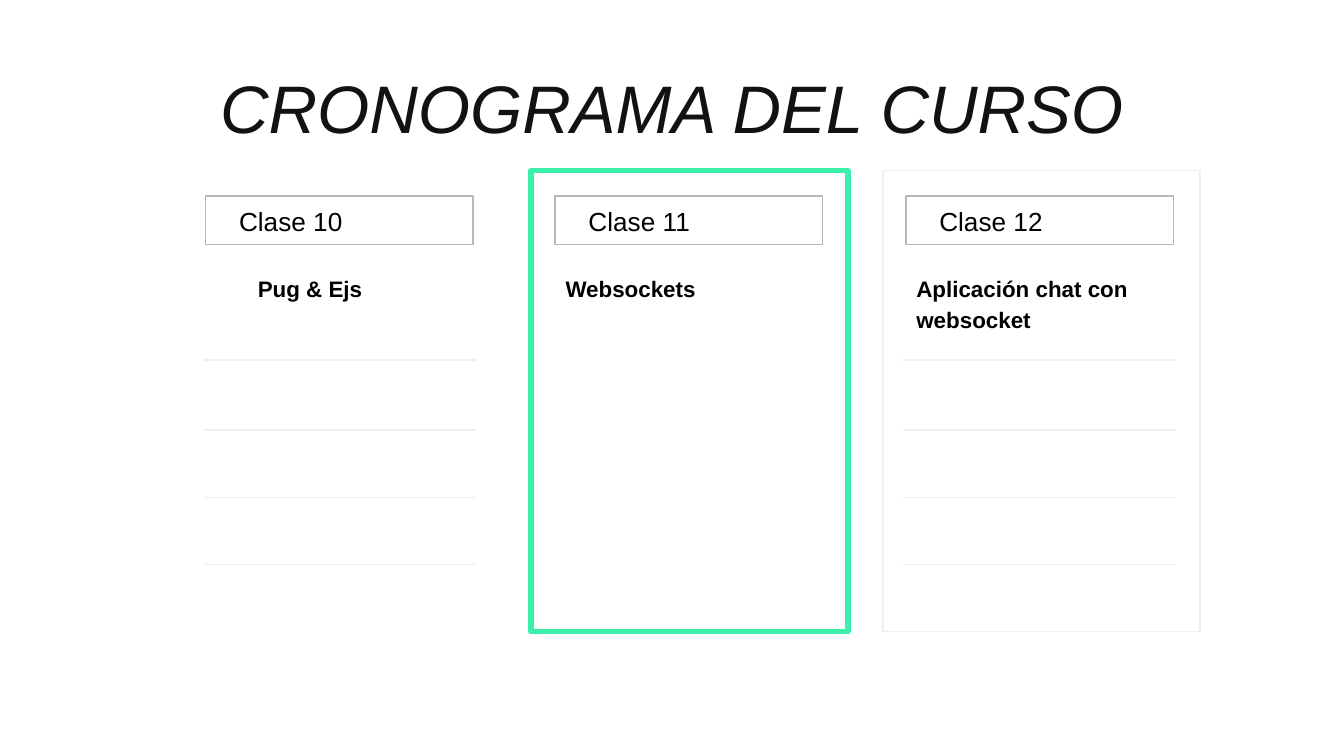
from lxml import etree
from pptx import Presentation
from pptx.dml.color import RGBColor
from pptx.enum.shapes import MSO_CONNECTOR, MSO_SHAPE
from pptx.enum.text import MSO_ANCHOR, MSO_AUTO_SIZE, PP_ALIGN
from pptx.oxml.ns import qn
from pptx.util import Inches, Pt

RECT = MSO_SHAPE.RECTANGLE
STRAIGHT = MSO_CONNECTOR.STRAIGHT
MIDDLE = MSO_ANCHOR.MIDDLE
NO_AUTOFIT = MSO_AUTO_SIZE.NONE
CENTER = PP_ALIGN.CENTER

GREEN = RGBColor(0x3C, 0xEF, 0xAB)
GREY = RGBColor(0xB7, 0xB7, 0xB7)
PALE = RGBColor(0xEF, 0xEF, 0xEF)
INK = RGBColor(0x12, 0x12, 0x12)
BLACK = RGBColor(0, 0, 0)

prs = Presentation()
prs.slide_width = Inches(10)
prs.slide_height = Inches(10) * 9 // 16
s = prs.slides.add_slide(prs.slide_layouts[5])


def add_frame(x, y, w, h, color, width):
    """Draw an unfilled rectangle."""
    sp = s.shapes.add_shape(RECT, Inches(x), Inches(y), Inches(w), Inches(h))
    sp.shadow.inherit = False
    sp.fill.background()
    sp.line.color.rgb = color
    sp.line.width = Pt(width)


def write(sp, text, size, color, bold=False, italic=False):
    """Put one run of text in a shape and return its paragraph."""
    tf = sp.text_frame
    tf.word_wrap = True
    tf.auto_size = NO_AUTOFIT
    tf.margin_left = tf.margin_right = Inches(0.1)
    tf.margin_top = tf.margin_bottom = Inches(0.1)
    p = tf.paragraphs[0]
    r = p.add_run()
    r.text = text
    r.font.name = "Arial"
    r.font.size = Pt(size)
    r.font.bold = bold
    r.font.italic = italic
    r.font.color.rgb = color
    return p


title = s.shapes.title
title.left, title.top = Inches(1.53), Inches(0.25)
title.width, title.height = Inches(6.94), Inches(1.08)
p = write(title, "CRONOGRAMA DEL CURSO", 36, INK, italic=True)
p.alignment = CENTER
title.text_frame.vertical_anchor = MIDDLE

# left edge, class, topic, topic left and width, card (left, colour, width), ruled
classes = [
    (1.53, "Clase 10", "Pug & Ejs", 1.82, 1.06, None, True),
    (4.13, "Clase 11", "Websockets", 4.11, 2.03, (3.95, GREEN, 3), False),
    (6.74, "Clase 12", "Aplicación chat con websocket", 6.72, 2.03,
     (6.57, PALE, 0.75), True),
]
for x, name, topic, topic_x, topic_w, card, ruled in classes:
    if card:
        card_x, color, width = card
        add_frame(card_x, 1.27, 2.36, 3.43, color, width)
    add_frame(x, 1.46, 1.99, 0.36, GREY, 0.75)

    label = s.shapes.add_textbox(Inches(x + 0.15), Inches(1.43), Inches(1.35), Inches(0.4))
    write(label, name, 14, BLACK)

    body = s.shapes.add_textbox(Inches(topic_x), Inches(1.92), Inches(topic_w), Inches(0.46))
    write(body, topic, 12, BLACK, bold=True).line_spacing = 1.15

    if ruled:
        for y in (2.68, 3.2, 3.7, 4.2):
            rule = s.shapes.add_connector(
                STRAIGHT, Inches(x - 0.02), Inches(y), Inches(x + 2.01), Inches(y))
            rule.line.color.rgb = PALE
            rule.line.width = Pt(0.75)
            etree.SubElement(rule._element.spPr, qn("a:effectLst"))

prs.save("out.pptx")
